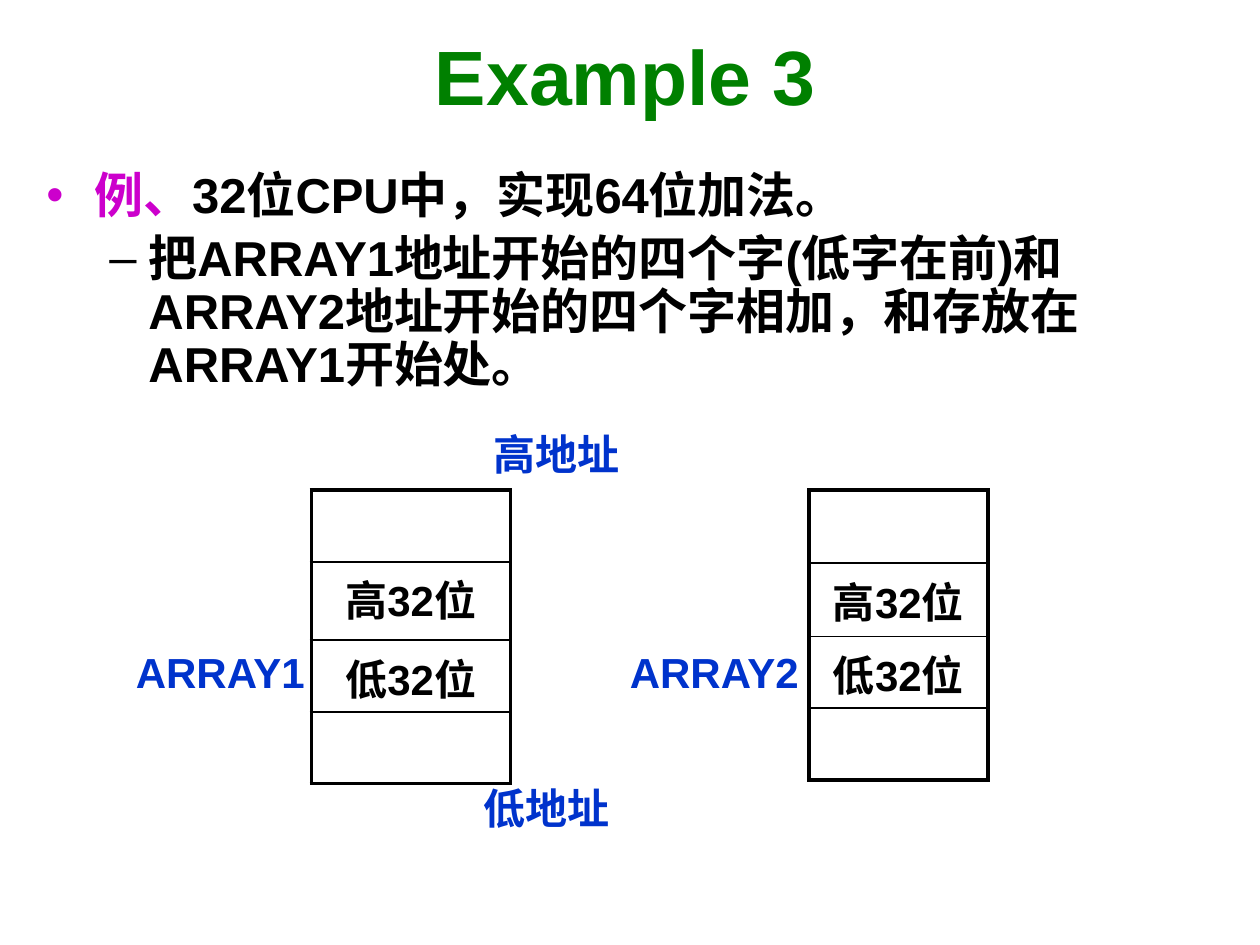
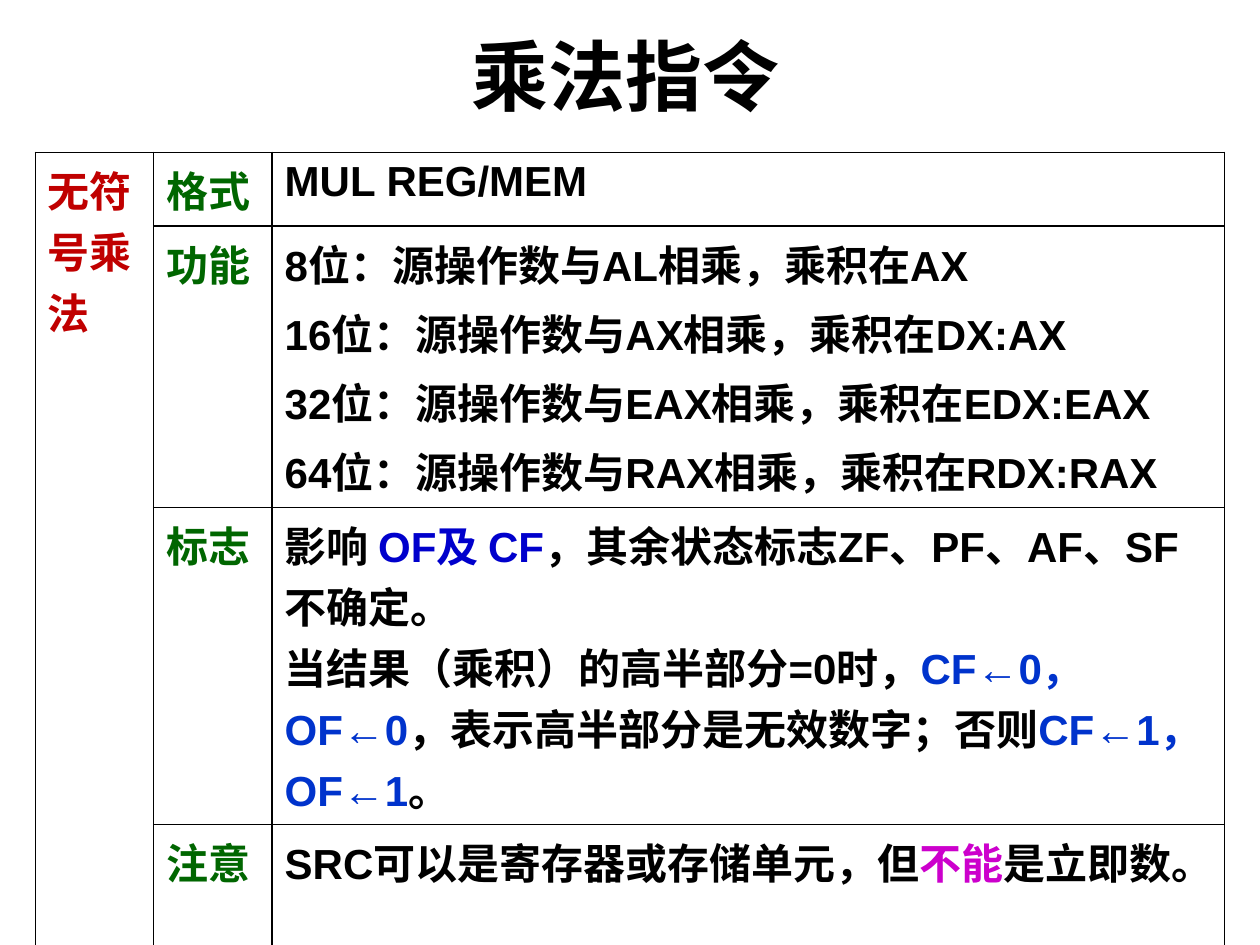
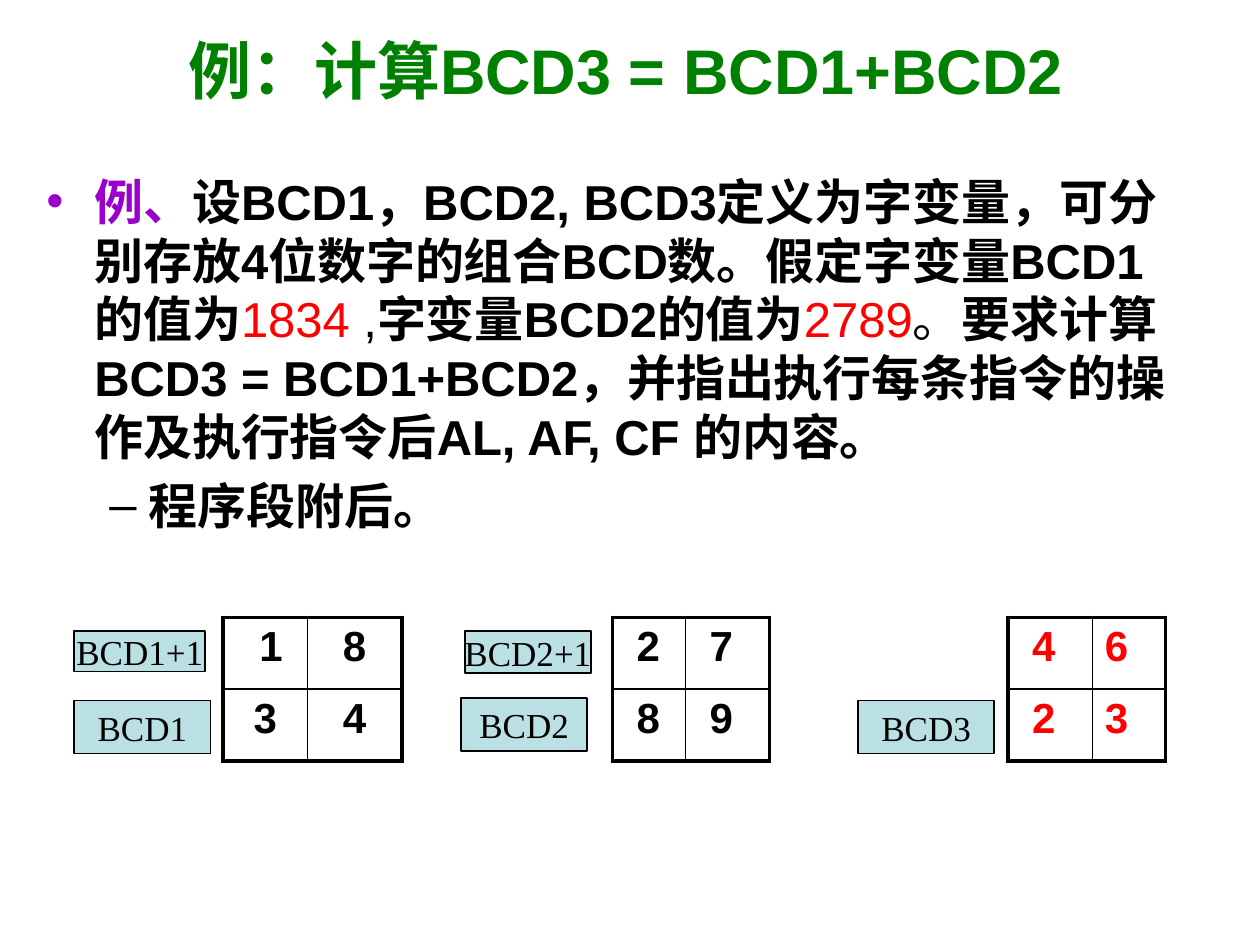
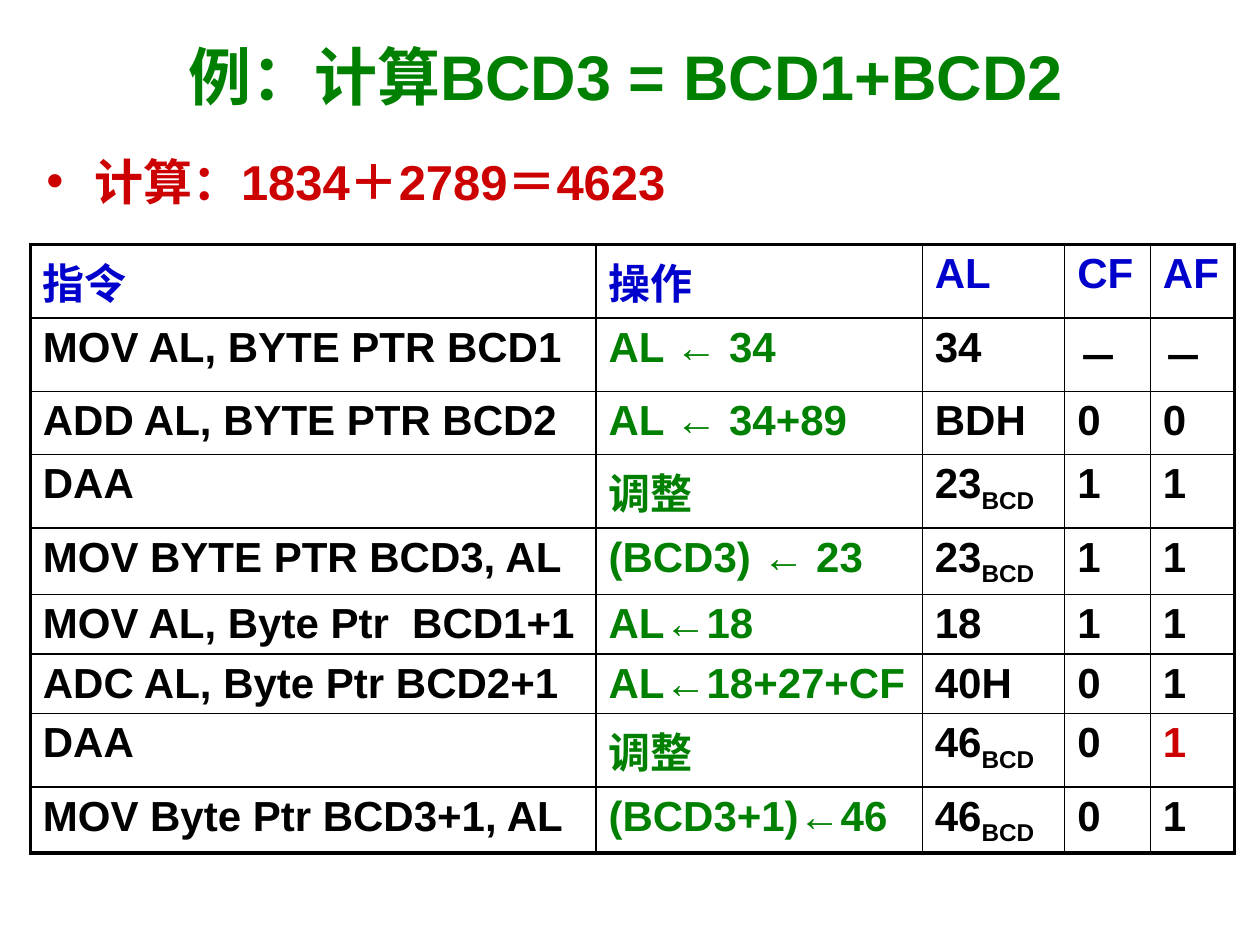
"""Build four teaching slides on multi-word addition, multiplication and BCD arithmetic."""
from lxml.etree import SubElement
from pptx import Presentation
from pptx.dml.color import RGBColor
from pptx.enum.shapes import MSO_SHAPE
from pptx.enum.text import MSO_ANCHOR, MSO_AUTO_SIZE, PP_ALIGN
from pptx.oxml.ns import qn
from pptx.util import Inches, Pt

BLACK = RGBColor(0x00, 0x00, 0x00)
GREEN = RGBColor(0x00, 0x80, 0x00)
DARK_GREEN = RGBColor(0x00, 0x66, 0x00)
BLUE = RGBColor(0x00, 0x33, 0xCC)
NAVY = RGBColor(0x00, 0x00, 0xCC)
MAGENTA = RGBColor(0xCC, 0x00, 0xCC)
PURPLE = RGBColor(0x99, 0x00, 0xCC)
RED = RGBColor(0xFF, 0x00, 0x00)
DARK_RED = RGBColor(0xCC, 0x00, 0x00)
BRICK = RGBColor(0xC0, 0x00, 0x00)
PALE = RGBColor(0xBB, 0xE0, 0xE3)

FONT, LABEL_FONT = "Arial", "Times New Roman"
THICK, THIN = 2.25, 1
SPACE_BEFORE = 0.2
BODY_LEFT = 0.27
BULLETS = [("•", 0.38, -0.38), ("–", 0.81, -0.31)]
BCD_TITLE = "例：计算BCD3 = BCD1+BCD2"

ARRAY_BODY = [
    [("例、", MAGENTA), ("32位CPU中，实现64位加法。", BLACK)],
    [("把ARRAY1地址开始的四个字(低字在前)和ARRAY2地址开始的四个字相加，"
      "和存放在ARRAY1开始处。", BLACK)],
]
ARRAY_CELLS = ["", "高32位", "低32位", ""]
ARRAY_TABLES = [
    (2.47, 1.58, [0.57, 0.62, 0.57, 0.57]),
    (6.42, 1.42, [0.58, 0.58, 0.57, 0.57]),
]
ARRAY_LABELS = [
    ("ARRAY1", 0.98, 5.08, 1.54),
    ("ARRAY2", 4.9, 5.08, 1.54),
    ("低地址", 3.74, 6.16, 1.2),
    ("高地址", 3.82, 3.35, 1.2),
]

MUL_NAME = "无符号乘法"
MUL_ROWS = [
    ("格式", SPACE_BEFORE, [[("MUL REG/MEM", BLACK)]]),
    ("功能", SPACE_BEFORE, [
        [(f"{bits}位：源操作数与{factor}相乘，乘积在{product}", BLACK)]
        for bits, factor, product in [
            (8, "AL", "AX"), (16, "AX", "DX:AX"),
            (32, "EAX", "EDX:EAX"), (64, "RAX", "RDX:RAX")]
    ]),
    ("标志", 0, [
        [("影响 ", BLACK), ("OF及 CF", NAVY),
         ("，其余状态标志ZF、PF、AF、SF不确定。", BLACK)],
        [("当结果（乘积）的高半部分=0时，", BLACK), ("CF←0，OF←0", BLUE),
         ("，表示高半部分是无效数字；否则", BLACK), ("CF←1，OF←1", BLUE),
         ("。", BLACK)],
    ]),
    ("注意", 0, [
        [("SRC可以是寄存器或存储单元，但", BLACK), ("不能", MAGENTA),
         ("是立即数。", BLACK)],
    ]),
]
MUL_COLS = [0.94, 0.94, 7.56]
MUL_HEIGHTS = [0.47, 0.5, 0.5, 0.5]

BCD_BODY = [
    [("例、", PURPLE),
     ("设BCD1，BCD2, BCD3定义为字变量，可分别存放4位数字的组合BCD数。"
      "假定字变量BCD1的值为", BLACK),
     ("1834", RED, False), (" ,", BLACK, False), ("字变量BCD2的值为", BLACK),
     ("2789", RED, False), ("。", BLACK, False),
     ("要求计算BCD3 = BCD1+BCD2，并指出执行每条指令的操作及执行指令后"
      "AL, AF, CF 的内容。", BLACK)],
    [("程序段附后。", BLACK)],
]
DIGIT_TABLES = [
    (1.77, [0.67, 0.75], [[" 1", "8"], [" 3 ", "4"]], BLACK, PP_ALIGN.CENTER),
    (4.86, [0.58, 0.67], [[" 2", " 7"], [" 8", " 9"]], BLACK, None),
    (8, [0.67, 0.58], [[" 4", "6"], [" 2", "3"]], RED, None),
]
BCD_LABELS = [
    ("BCD1", 0.59, 5.56, 1.08, 0.42),
    ("BCD1+1", 0.59, 5.01, 1.04, 0.32),
    ("BCD2", 3.66, 5.54, 1, 0.42),
    ("BCD2+1", 3.69, 5.01, 1, 0.33),
    ("BCD3", 6.81, 5.56, 1.08, 0.42),
]

SUM_BODY = [[("计算：1834＋2789＝4623", DARK_RED)]]
TRACE_HEADS = ["指令", "操作", "AL", "CF", "AF"]
TRACE = [
    ("MOV AL, BYTE PTR BCD1", "AL ← 34", "34", "－", "－"),
    ("ADD AL, BYTE PTR BCD2", "AL ← 34+89", "BDH", "0", "0"),
    ("DAA", "调整", ("23", "BCD"), "1", "1"),
    ("MOV BYTE PTR BCD3, AL", "(BCD3) ← 23", ("23", "BCD"), "1", "1"),
    ("MOV AL, Byte Ptr  BCD1+1", "AL←18", "18", "1", "1"),
    ("ADC AL, Byte Ptr BCD2+1", "AL←18+27+CF", "40H", "0", "1"),
    ("DAA", "调整", ("46", "BCD"), "0", "1"),
    ("MOV Byte Ptr BCD3+1, AL", "(BCD3+1)←46", ("46", "BCD"), "0", "1"),
]
TRACE_COLOURS = [BLACK, GREEN, BLACK, BLACK, BLACK]
TRACE_MARKED = (6, 4)
TRACE_COLS = [4.49, 2.59, 1.13, 0.68, 0.67]
TRACE_HEIGHTS = [0.49, 0.44, 0.5] + [0.44] * 6


def inches(*lengths):
    return [Inches(n) for n in lengths]


def add_run(p, text, colour, bold=True, size=24, font=FONT, baseline=0):
    r = p.add_run()
    r.text = text
    r.font.size, r.font.name, r.font.bold = Pt(size), font, bold
    r.font.color.rgb = colour
    if baseline:
        r.font._element.set("baseline", str(baseline))


def space_before(p, share):
    if share:
        spc = SubElement(p._p.get_or_add_pPr(), qn("a:spcBef"))
        SubElement(spc, qn("a:spcPct")).set("val", str(round(share * 100000)))


def paragraphs(tf, count):
    return [tf.paragraphs[0]] + [tf.add_paragraph() for _ in range(count - 1)]


def fill_cell(cell, paras, before=SPACE_BEFORE, align=None):
    for p, runs in zip(paragraphs(cell.text_frame, len(paras)), paras):
        p.alignment = align
        space_before(p, before)
        for text, colour, *baseline in runs:
            add_run(p, text, colour, baseline=sum(baseline))


def border(cell, widths):
    tcPr = cell._tc.get_or_add_tcPr()
    for side, width in zip("LRTB", widths):
        ln = SubElement(tcPr, qn(f"a:ln{side}"), w=str(Pt(width)))
        fill = SubElement(ln, qn("a:solidFill"))
        SubElement(fill, qn("a:srgbClr"), val=str(BLACK))
    cell.fill.background()


def add_grid(s, left, top, cols, heights, outer=THICK):
    nr, nc = len(heights), len(cols)
    box = inches(left, top, sum(cols), sum(heights))
    table = s.shapes.add_table(nr, nc, *box).table
    table.first_row = table.horz_banding = False
    for col, width in zip(table.columns, cols):
        col.width = Inches(width)
    for row, height in zip(table.rows, heights):
        row.height = Inches(height)
    for i in range(nr):
        for j in range(nc):
            edges = (j == 0, j == nc - 1, i == 0, i == nr - 1)
            border(table.cell(i, j), [outer if e else THIN for e in edges])
    return table


def add_slide(prs, title, colour=GREEN, size=36, height=0.77):
    s = prs.slides.add_slide(prs.slide_layouts[5])
    sp = s.shapes.title
    sp.left, sp.top, sp.width, sp.height = inches(0.2, 0.21, 9.53, height)
    tf = sp.text_frame
    tf.auto_size = MSO_AUTO_SIZE.NONE
    tf.vertical_anchor = MSO_ANCHOR.MIDDLE
    p = tf.paragraphs[0]
    p.alignment = PP_ALIGN.CENTER
    add_run(p, title, colour, size=size)
    return s


def add_body(s, paras, top, width, height, line_spacing=None):
    tf = s.shapes.add_textbox(*inches(BODY_LEFT, top, width, height)).text_frame
    tf.word_wrap = True
    levels = zip(paragraphs(tf, len(paras)), paras, BULLETS)
    for level, (p, runs, (mark, margin, indent)) in enumerate(levels):
        p.level = level
        p.line_spacing = line_spacing
        space_before(p, SPACE_BEFORE)
        pPr = p._p.get_or_add_pPr()
        pPr.set("marL", str(Inches(margin)))
        pPr.set("indent", str(Inches(indent)))
        SubElement(pPr, qn("a:buFont"), typeface=FONT)
        SubElement(pPr, qn("a:buChar"), char=mark)
        for run in runs:
            add_run(p, *run, size=28)


def array_slide(prs):
    s = add_slide(prs, "Example 3", size=44)
    add_body(s, ARRAY_BODY, 1.31, 9.61, 1.89, 0.9)
    for left, width, heights in ARRAY_TABLES:
        table = add_grid(s, left, 3.89, [width], heights)
        for i, text in enumerate(ARRAY_CELLS):
            if text:
                fill_cell(table.cell(i, 0), [[(text, BLACK)]], align=PP_ALIGN.CENTER)
    for text, left, top, width in ARRAY_LABELS:
        tf = s.shapes.add_textbox(*inches(left, top, width, 0.5)).text_frame
        tf.word_wrap = False
        add_run(tf.paragraphs[0], text, BLUE)


def multiply_slide(prs):
    s = add_slide(prs, "乘法指令", BLACK, 44)
    table = add_grid(s, 0.28, 1.21, MUL_COLS, MUL_HEIGHTS, THIN)
    table.cell(0, 0).merge(table.cell(len(MUL_ROWS) - 1, 0))
    fill_cell(table.cell(0, 0), [[(MUL_NAME, BRICK)]])
    for i, (name, before, paras) in enumerate(MUL_ROWS):
        fill_cell(table.cell(i, 1), [[(name, DARK_GREEN)]], before)
        fill_cell(table.cell(i, 2), paras, before)


def bcd_slide(prs):
    s = add_slide(prs, BCD_TITLE, height=0.68)
    add_body(s, BCD_BODY, 1.31, 9.23, 3.15)
    for left, cols, digits, colour, align in DIGIT_TABLES:
        table = add_grid(s, left, 4.9, cols, [0.57] * 2)
        for i, row in enumerate(digits):
            for j, text in enumerate(row):
                fill_cell(table.cell(i, j), [[(text, colour)]], align=align)
    for text, *box in BCD_LABELS:
        sp = s.shapes.add_shape(MSO_SHAPE.RECTANGLE, *inches(*box))
        sp.shadow.inherit = False
        sp.fill.solid()
        sp.fill.fore_color.rgb = PALE
        sp.line.color.rgb, sp.line.width = BLACK, Pt(THIN)
        tf = sp.text_frame
        tf.word_wrap = False
        tf.vertical_anchor = MSO_ANCHOR.MIDDLE
        p = tf.paragraphs[0]
        p.alignment = PP_ALIGN.CENTER
        add_run(p, text, BLACK, False, 20, LABEL_FONT)


def trace_slide(prs):
    s = add_slide(prs, BCD_TITLE)
    table = add_grid(s, 0.24, 1.94, TRACE_COLS, TRACE_HEIGHTS)
    for j, head in enumerate(TRACE_HEADS):
        fill_cell(table.cell(0, j), [[(head, NAVY)]])
    for i, row in enumerate(TRACE):
        for j, (value, colour) in enumerate(zip(row, TRACE_COLOURS)):
            if (i, j) == TRACE_MARKED:
                colour = DARK_RED
            if isinstance(value, tuple):
                runs = [(value[0], colour), (value[1], colour, -25000)]
            else:
                runs = [(value, colour)]
            fill_cell(table.cell(i + 1, j), [runs])
    add_body(s, SUM_BODY, 1.15, 9.23, 0.63)


def main():
    prs = Presentation()
    prs.slide_width, prs.slide_height = inches(10, 7.5)
    for build in (array_slide, multiply_slide, bcd_slide, trace_slide):
        build(prs)
    prs.save("out.pptx")


if __name__ == "__main__":
    main()
